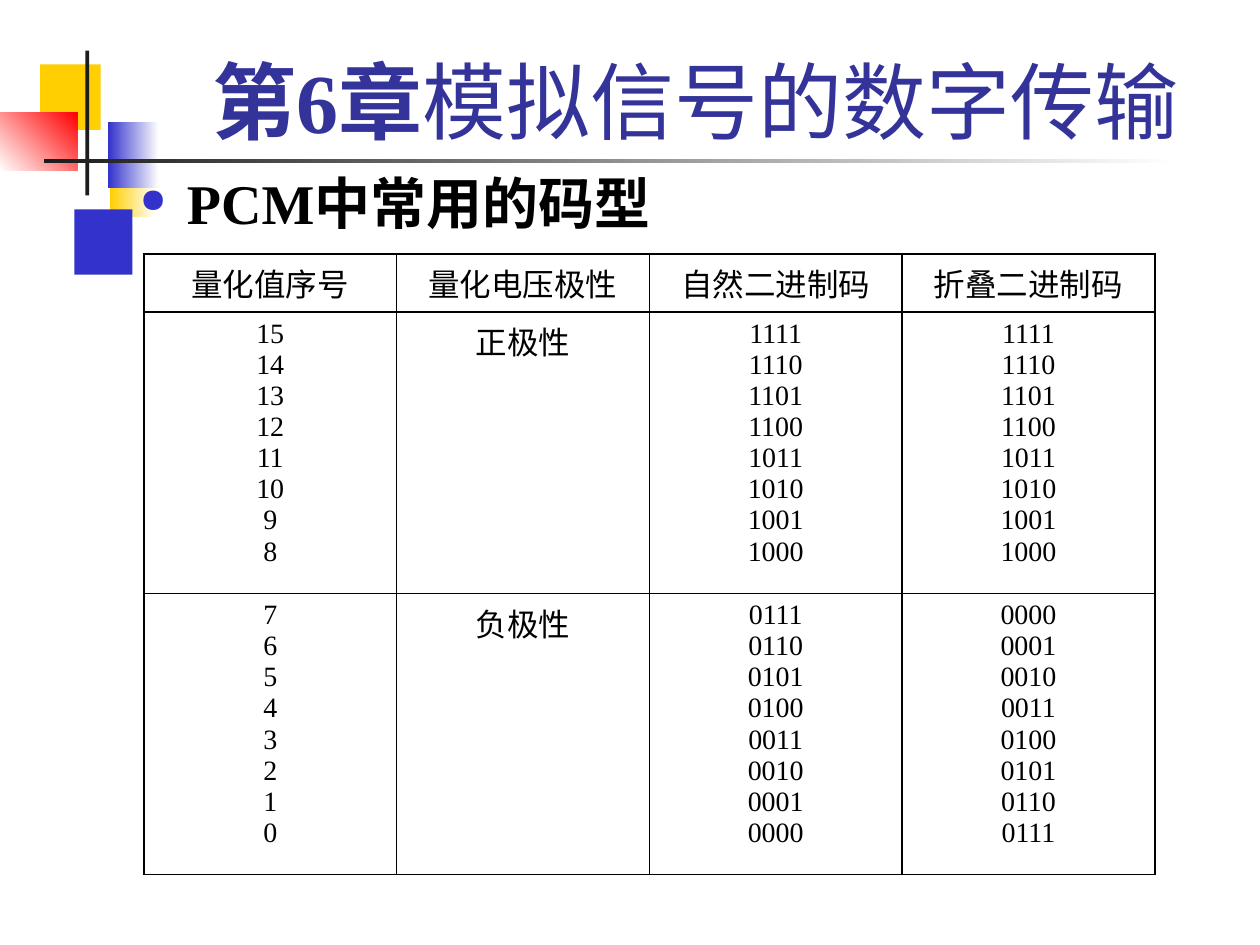
from lxml.etree import SubElement
from pptx import Presentation
from pptx.dml.color import RGBColor
from pptx.enum.shapes import MSO_SHAPE
from pptx.enum.text import MSO_ANCHOR, PP_ALIGN
from pptx.oxml.ns import qn
from pptx.util import Cm, Pt

FONT = "Times New Roman"
BLACK = RGBColor(0x00, 0x00, 0x00)
WHITE = RGBColor(0xFF, 0xFF, 0xFF)
YELLOW = RGBColor(0xFF, 0xCF, 0x01)
BLUE = RGBColor(0x33, 0x33, 0xCC)
RED = RGBColor(0xFF, 0x00, 0x00)
CHARCOAL = RGBColor(0x1C, 0x1C, 0x1C)
TITLE_BLUE = RGBColor(0x33, 0x33, 0x99)

DECORATIONS = [
    ((2.22, 3.05, 0.92, 1.32), (YELLOW, WHITE), 0),
    ((1.5, 4.22, 1.17, 1.32), (BLUE,), 0),
    ((0.81, 1.3, 1.22, 1.32), (YELLOW,), 0),
    ((2.18, 2.47, 1.02, 1.32), (BLUE, WHITE), 0),
    ((0, 2.26, 1.56, 1.18), (WHITE, RED), 45),
    ((1.72, 1.02, 0.08, 2.92), (CHARCOAL,), 0),
    ((0.89, 3.2, 22.86, 0.08), (CHARCOAL, WHITE), 0),
]
HEADERS = ["量化值序号", "量化电压极性", "自然二进制码", "折叠二进制码"]
POLARITIES = [("正极性", range(15, 7, -1)), ("负极性", range(7, -1, -1))]
ROW_HEIGHTS = [1.17, 5.67, 5.67]


def style_run(run, size, color=BLACK, bold=False):
    """Set the font of one run."""
    run.font.name = FONT
    run.font.size = Pt(size)
    run.font.color.rgb = color
    run.font.bold = bold


def add_block(slide, box, colors, angle):
    """Add a borderless rectangle, solid for one colour and graded for two."""
    shape = slide.shapes.add_shape(MSO_SHAPE.RECTANGLE, *map(Cm, box))
    shape.shadow.inherit = False
    shape.line.fill.background()
    if len(colors) == 1:
        shape.fill.solid()
        shape.fill.fore_color.rgb = colors[0]
        return
    shape.fill.gradient()
    shape.fill.gradient_angle = angle
    for stop, color in zip(shape.fill.gradient_stops, colors):
        stop.color.rgb = color


def add_text(slide, box, parts, size, color, anchor=MSO_ANCHOR.TOP):
    """Add a one-paragraph text box from (text, bold) parts and return the paragraph."""
    text_frame = slide.shapes.add_textbox(*map(Cm, box)).text_frame
    text_frame.word_wrap = True
    text_frame.vertical_anchor = anchor
    paragraph = text_frame.paragraphs[0]
    for text, bold in parts:
        run = paragraph.add_run()
        run.text = text
        style_run(run, size, color, bold)
    return paragraph


def add_bullet(paragraph, color):
    """Give a paragraph a hanging round bullet."""
    properties = paragraph._p.get_or_add_pPr()
    properties.set("marL", str(Cm(0.95)))
    properties.set("indent", str(-Cm(0.95)))
    bullet_color = SubElement(properties, qn("a:buClr"))
    SubElement(bullet_color, qn("a:srgbClr"), val=str(color))
    SubElement(properties, qn("a:buSzPct"), val="60000")
    SubElement(properties, qn("a:buChar"), char="●")


def add_borders(cell):
    """Draw a thin black line on all four sides of a cell."""
    properties = cell._tc.get_or_add_tcPr()
    for index, side in enumerate(("a:lnL", "a:lnR", "a:lnT", "a:lnB")):
        line = properties.makeelement(qn(side), {"w": str(Pt(1))})
        fill = SubElement(line, qn("a:solidFill"))
        SubElement(fill, qn("a:srgbClr"), val=str(BLACK))
        properties.insert(index, line)


def fill_cell(cell, text, size):
    """Write centred lines into a bordered, unfilled cell."""
    cell.fill.background()
    add_borders(cell)
    cell.text_frame.text = text
    for paragraph in cell.text_frame.paragraphs:
        paragraph.alignment = PP_ALIGN.CENTER
        for run in paragraph.runs:
            style_run(run, size)


def code_row(polarity, levels):
    """Return the four cell texts for one polarity."""
    folded = [level if level > 7 else 7 - level for level in levels]
    return [
        "\n".join(str(level) for level in levels),
        polarity,
        "\n".join(f"{level:04b}" for level in levels),
        "\n".join(f"{value:04b}" for value in folded),
    ]


def add_code_table(slide):
    """Add the table of natural and folded binary codes."""
    rows = [HEADERS] + [code_row(*polarity) for polarity in POLARITIES]
    table = slide.shapes.add_table(
        len(rows), len(HEADERS), Cm(2.9), Cm(5.12), Cm(20.38), Cm(sum(ROW_HEIGHTS))
    ).table
    table.first_row = False
    table.horz_banding = False
    for row, height in zip(table.rows, ROW_HEIGHTS):
        row.height = Cm(height)
    for row, texts in zip(table.rows, rows):
        for cell, text in zip(row.cells, texts):
            fill_cell(cell, text, 16 if "\n" in text else 18)


def main():
    """Build and save the slide."""
    presentation = Presentation()
    presentation.slide_width = Cm(25.4)
    presentation.slide_height = Cm(19.05)
    slide = presentation.slides.add_slide(presentation.slide_layouts[6])
    for box, colors, angle in DECORATIONS:
        add_block(slide, box, colors, angle)
    title = add_text(
        slide, (3.2, 0.58, 21.64, 2.57),
        [("第6章", True), ("模拟信号的数字传输", False)],
        48, TITLE_BLUE, MSO_ANCHOR.BOTTOM,
    )
    title.alignment = PP_ALIGN.CENTER
    heading = add_text(
        slide, (2.57, 3.28, 11.53, 3.25), [("PCM中常用的码型", True)], 32, BLACK
    )
    heading.space_before = Pt(6.4)
    add_bullet(heading, BLUE)
    add_code_table(slide)
    presentation.save("out.pptx")


if __name__ == "__main__":
    main()
